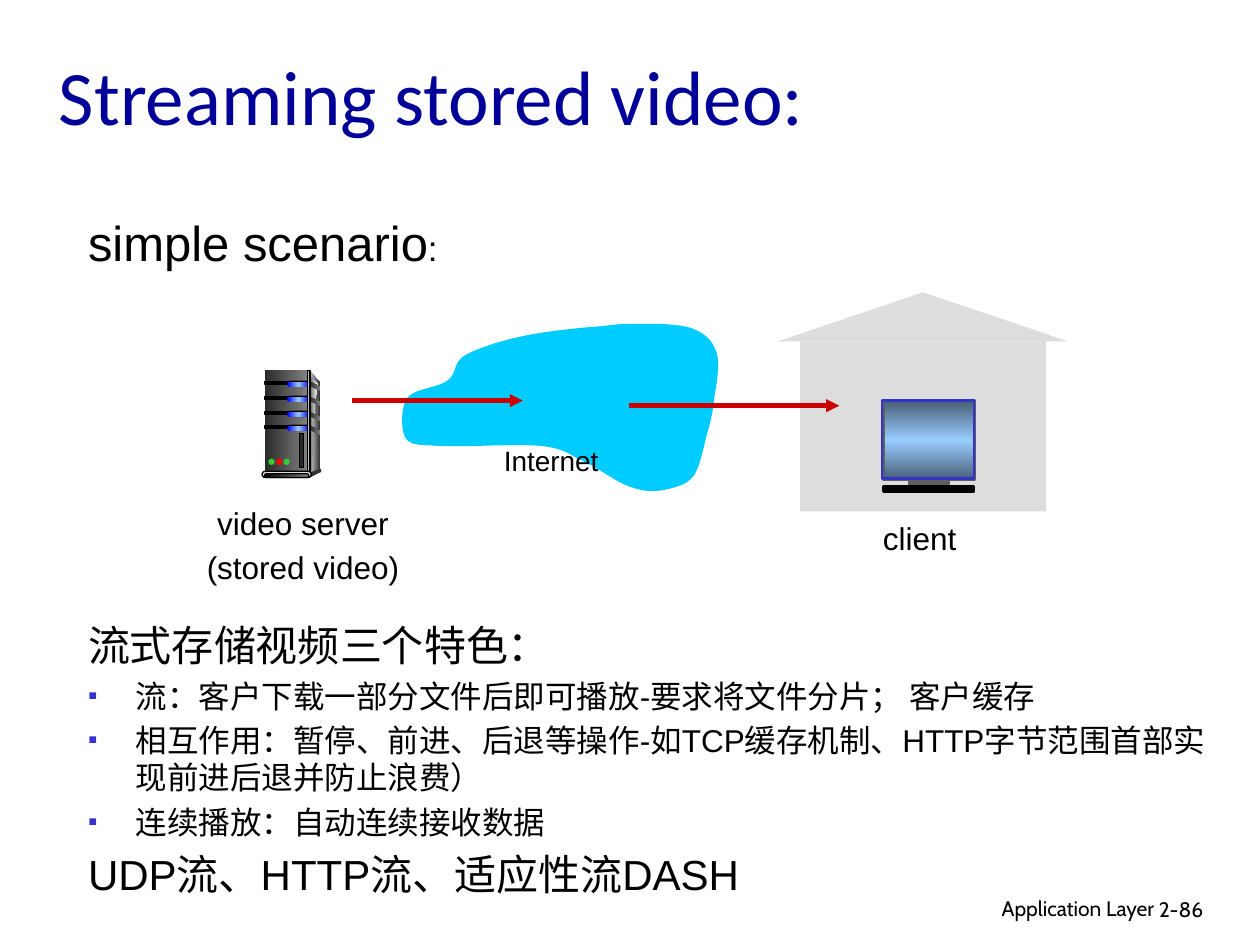
from dataclasses import dataclass

from lxml import etree
from copy import deepcopy
from pptx import Presentation
from pptx.dml.color import RGBColor
from pptx.enum.shapes import MSO_CONNECTOR, MSO_SHAPE
from pptx.enum.text import MSO_ANCHOR, MSO_AUTO_SIZE, PP_ALIGN
from pptx.oxml.ns import qn
from pptx.util import Inches, Pt

RECT, PILL, OVAL = MSO_SHAPE.RECTANGLE, MSO_SHAPE.ROUNDED_RECTANGLE, MSO_SHAPE.OVAL
TRIANGLE = MSO_SHAPE.ISOSCELES_TRIANGLE
STRAIGHT = MSO_CONNECTOR.STRAIGHT
LEFT, CENTER, RIGHT = PP_ALIGN.LEFT, PP_ALIGN.CENTER, PP_ALIGN.RIGHT
TOP, MIDDLE = MSO_ANCHOR.TOP, MSO_ANCHOR.MIDDLE
GROW, FIXED = MSO_AUTO_SIZE.SHAPE_TO_FIT_TEXT, MSO_AUTO_SIZE.NONE
BLACK, PALE, DARK, GRAY, SLATE = "000000", "DDDDDD", "333333", "808080", "5F5F5F"
SHADE = ("292929", GRAY)
GLOW = ("0000FF", "99CCFF", "0000FF")
CURVE_STEPS = 10

Point = tuple[float, float]
Box = tuple[float, float, float, float]
Colors = tuple[str, ...]


@dataclass
class Run:
    text: str
    size: float
    font: str = "Arial"
    color: str = BLACK


@dataclass
class Para:
    runs: list[Run]
    align: PP_ALIGN = LEFT
    bullet: bool = False
    gap: float = 0


def rgb(value: str) -> RGBColor:
    return RGBColor.from_string(value)


def paint(shape, fill: Colors, line: str = "", weight: float = 0.75, angle: int = 0):
    shape.shadow.inherit = False
    if len(fill) > 1:
        shape.fill.gradient()
        shape.fill.gradient_angle = angle
        stops = shape._element.spPr.find(qn("a:gradFill")).find(qn("a:gsLst"))
        for _ in fill[2:]:
            stops.append(deepcopy(stops[-1]))
        for i, stop in enumerate(shape.fill.gradient_stops):
            stop.position = i / (len(fill) - 1)
            stop.color.rgb = rgb(fill[i])
    elif fill:
        shape.fill.solid()
        shape.fill.fore_color.rgb = rgb(fill[0])
    else:
        shape.fill.background()
    if line:
        shape.line.color.rgb = rgb(line)
        shape.line.width = Pt(weight)
    else:
        shape.line.fill.background()


def preset(slide, kind: MSO_SHAPE, box: Box, fill: Colors, line: str = "",
           weight: float = 0.75, angle: int = 0):
    shape = slide.shapes.add_shape(kind, *map(Inches, box))
    if kind == PILL:
        shape.adjustments[0] = 0.5
    paint(shape, fill, line, weight, angle)


def outline(slide, points: list[Point], fill: Colors):
    start, *rest = [(Inches(x), Inches(y)) for x, y in points]
    builder = slide.shapes.build_freeform(*start, scale=1.0)
    builder.add_line_segments(rest, close=True)
    paint(builder.convert_to_shape(), fill)


def curve(start: Point, bends: list[Box], ends: list[Point]) -> list[Point]:
    points = [start]
    for (ax, ay, bx, by), (ex, ey) in zip(bends, ends):
        sx, sy = points[-1]
        for step in range(1, CURVE_STEPS + 1):
            t = step / CURVE_STEPS
            u = 1 - t
            weights = (u ** 3, 3 * u * u * t, 3 * u * t * t, t ** 3)
            points.append((sum(w * x for w, x in zip(weights, (sx, ax, bx, ex))),
                           sum(w * y for w, y in zip(weights, (sy, ay, by, ey)))))
    return points


def arrow(slide, start: Point, end: Point):
    flow = slide.shapes.add_connector(STRAIGHT, *map(Inches, start + end))
    flow.line.color.rgb = rgb("CC0000")
    flow.line.width = Pt(2.5)
    etree.SubElement(flow.line._get_or_add_ln(), qn("a:tailEnd"), type="triangle")
    etree.SubElement(flow._element.spPr, qn("a:effectLst"))


def write(slide, box: Box, paras: list[Para], wrap: bool = False,
          anchor: MSO_ANCHOR = TOP, fit: MSO_AUTO_SIZE = GROW):
    frame = slide.shapes.add_textbox(*map(Inches, box)).text_frame
    frame.word_wrap, frame.auto_size, frame.vertical_anchor = wrap, fit, anchor
    for i, para in enumerate(paras):
        line = frame.add_paragraph() if i else frame.paragraphs[0]
        line.alignment = para.align
        line.space_before = Pt(para.gap)
        if para.bullet:
            props = line._p.get_or_add_pPr()
            props.set("marL", str(Inches(0.38)))
            props.set("indent", str(Inches(-0.38)))
            tint = etree.SubElement(props, qn("a:buClr"))
            etree.SubElement(tint, qn("a:srgbClr"), val="3333CC")
            etree.SubElement(props, qn("a:buSzPct"), val="85000")
            etree.SubElement(props, qn("a:buFont"), typeface="Arial")
            etree.SubElement(props, qn("a:buChar"), char="▪")
        for part in para.runs:
            run = line.add_run()
            run.text = part.text
            run.font.size = Pt(part.size)
            run.font.name = part.font
            run.font.color.rgb = rgb(part.color)


def draw_server(slide):
    outline(slide, [(2.46, 2.94), (2.54, 3.04), (2.54, 3.72), (2.45, 3.76)], (PALE, DARK))
    preset(slide, RECT, (2.1, 2.94, 0.34, 0.82), SHADE)
    outline(slide, curve((2.47, 2.99), [(2.47, 2.99, 2.48, 3), (2.47, 3.36, 2.48, 3.75)],
                         [(2.52, 3.05), (2.47, 3.74)]), (GRAY, "F8F8F8"))
    for y in (3.03, 3.15, 3.27, 3.38):
        preset(slide, RECT, (2.1, y, 0.19, 0.02), (BLACK,), BLACK)
        preset(slide, PILL, (2.28, y - 0.01, 0.19, 0.05), (BLACK,))
        preset(slide, PILL, (2.28, y, 0.18, 0.04), GLOW)
        outline(slide, [(2.46, y), (2.54, y + 0.04), (2.54, y + 0.07), (2.46, y + 0.03)], SHADE)
    preset(slide, RECT, (2.44, 2.94, 0.02, 0.82), (DARK, PALE, DARK), BLACK)
    preset(slide, OVAL, (2.53, 3.72, 0.02, 0.03), (DARK,))
    outline(slide, [(2.46, 3.75), (2.46, 3.79), (2.54, 3.75), (2.54, 3.72)], (DARK,))
    preset(slide, PILL, (2.08, 3.74, 0.39, 0.05), (PALE,), BLACK)
    preset(slide, PILL, (2.1, 3.76, 0.35, 0.03), (BLACK, GRAY), BLACK)
    for i, light in enumerate(("33CC33", "FF0000", "33CC33")):
        preset(slide, OVAL, (2.13 + 0.06 * i, 3.64, 0.05, 0.05), (light,))
    preset(slide, RECT, (2.38, 3.44, 0.03, 0.27), ("292929",), BLACK)


def draw_client(slide):
    preset(slide, RECT, (7.01, 3.18, 0.73, 0.63), ("475E76", "99CCFF", "475E76"), SLATE, 1.5, 90)
    preset(slide, RECT, (7.22, 3.81, 0.31, 0.04), (SLATE,), SLATE, 1.5)
    preset(slide, RECT, (7.01, 3.86, 0.72, 0.04), (BLACK,), BLACK, 1.5)
    preset(slide, RECT, (7, 3.18, 0.73, 0.62), (), "3333CC", 1.5)


def main():
    deck = Presentation()
    deck.slide_width, deck.slide_height = Inches(10), Inches(7.5)
    slide = deck.slides.add_slide(deck.slide_layouts[6])

    preset(slide, TRIANGLE, (6.17, 2.32, 2.31, 0.39), (PALE,))
    preset(slide, RECT, (6.35, 2.71, 1.95, 1.35), (PALE,))
    draw_server(slide)
    write(slide, (0.37, 0.13, 8.5, 1.25),
          [Para([Run("Streaming stored video:", 44, "Calibri", "000099")])], True, MIDDLE, FIXED)
    draw_client(slide)
    write(slide, (0.6, 1.64, 3.01, 0.57), [Para([Run("simple scenario", 28), Run(":", 20)])])

    cloud_bends = [
        (4.61, 2.6, 4.32, 2.63), (3.95, 2.71, 3.78, 2.77), (3.59, 2.88, 3.63, 2.97),
        (3.48, 3.08, 3.29, 3.08), (3.18, 3.23, 3.18, 3.42), (3.27, 3.54, 3.33, 3.53),
        (3.68, 3.55, 4.11, 3.52), (4.49, 3.56, 4.53, 3.62), (4.77, 3.73, 4.91, 3.84),
        (5.13, 3.91, 5.23, 3.9), (5.39, 3.86, 5.46, 3.84), (5.56, 3.69, 5.58, 3.56),
        (5.64, 3.35, 5.66, 3.26), (5.69, 3.03, 5.72, 2.87), (5.65, 2.69, 5.57, 2.63),
        (5.37, 2.57, 5.2, 2.57), (4.96, 2.57, 4.92, 2.57)]
    cloud_ends = [
        (4.14, 2.67), (3.69, 2.82), (3.55, 3.02), (3.23, 3.16), (3.22, 3.48), (3.5, 3.54),
        (4.3, 3.54), (4.65, 3.67), (5.02, 3.87), (5.31, 3.88), (5.51, 3.77), (5.61, 3.45),
        (5.67, 3.15), (5.68, 2.78), (5.47, 2.6), (5.08, 2.57), (4.77, 2.59)]
    outline(slide, curve((4.77, 2.59), cloud_bends, cloud_ends), ("00CCFF",))
    arrow(slide, (2.79, 3.18), (4.15, 3.18))
    arrow(slide, (4.99, 3.22), (6.66, 3.22))

    write(slide, (1.5, 3.95, 1.81, 0.77), [Para([Run("video server", 18)], CENTER),
                                           Para([Run("(stored video)", 18)], CENTER, gap=3.6)])
    write(slide, (6.91, 4.07, 0.84, 0.4), [Para([Run("client", 18)])])
    write(slide, (3.9, 3.47, 1.01, 0.37), [Para([Run("Internet", 16)])])
    write(slide, (7.57, 7.06, 1.69, 0.33),
          [Para([Run("Application Layer", 12, "Cabin")], RIGHT)], True, fit=FIXED)
    write(slide, (9.1, 7.07, 0.74, 0.3), [Para([Run("2-86", 12, "Cabin")])], True, fit=FIXED)

    features = ("流：客户下载一部分文件后即可播放-要求将文件分片； 客户缓存",
                "相互作用：暂停、前进、后退等操作-如TCP缓存机制、HTTP字节范围首部实现前进后退并防止浪费）",
                "连续播放：自动连续接收数据")
    write(slide, (0.6, 4.87, 9.11, 2.38),
          [Para([Run("流式存储视频三个特色：", 24)]),
           *(Para([Run(feature, 18)], bullet=True, gap=3.6) for feature in features),
           Para([Run("UDP流、HTTP流、适应性流DASH", 24)], gap=4.8)], True)
    deck.save("out.pptx")


if __name__ == "__main__":
    main()
